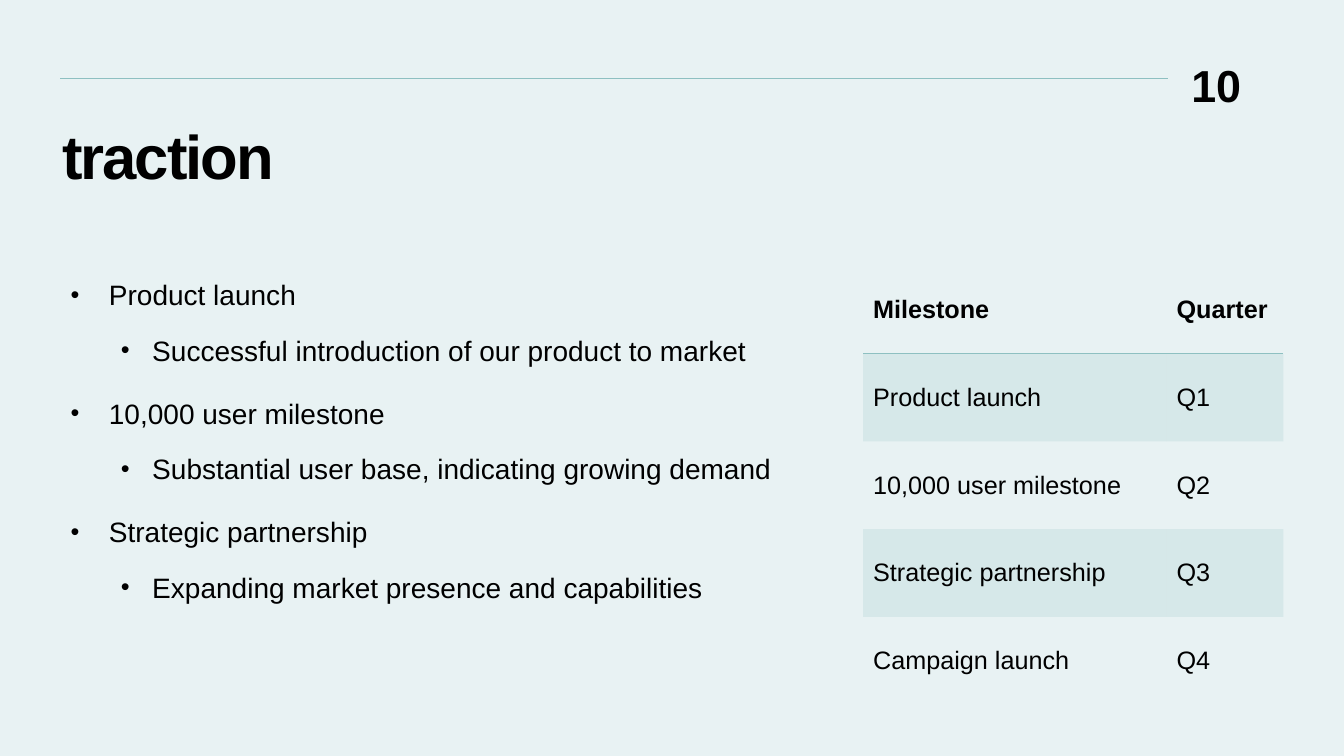
from dataclasses import dataclass

from lxml.etree import SubElement
from pptx import Presentation
from pptx.dml.color import RGBColor
from pptx.enum.shapes import MSO_CONNECTOR
from pptx.enum.text import MSO_ANCHOR, PP_ALIGN
from pptx.oxml import parse_xml
from pptx.oxml.ns import nsdecls, qn
from pptx.slide import Slide
from pptx.table import _Cell
from pptx.text.text import TextFrame, _Paragraph
from pptx.util import Inches, Pt


@dataclass(frozen=True)
class Theme:
    """Colours, font and type sizes of the slide."""
    background: str = "E8F2F3"
    accent: str = "8EC0C1"
    ink: str = "000000"
    font: str = "Arial"
    title_size: int = 44
    number_size: int = 32
    body_size: int = 20
    table_size: int = 18
    band_opacity: int = 20


@dataclass(frozen=True)
class BulletLevel:
    """Indents in inches and space before in points for one list level."""
    left: float
    hanging: float
    space_before: int


@dataclass(frozen=True)
class Achievement:
    """A headline and its supporting detail."""
    headline: str
    detail: str


@dataclass(frozen=True)
class Milestone:
    """A table row."""
    name: str
    quarter: str


THEME = Theme()
LEVELS = (BulletLevel(0.38, 0.38, 10), BulletLevel(0.81, 0.31, 5))
ACHIEVEMENTS = (
    Achievement("Product launch", "Successful introduction of our product to market"),
    Achievement("10,000 user milestone", "Substantial user base, indicating growing demand"),
    Achievement("Strategic partnership", "Expanding market presence and capabilities"),
)
MILESTONES = (
    Milestone("Milestone", "Quarter"),
    Milestone("Product launch", "Q1"),
    Milestone("10,000 user milestone", "Q2"),
    Milestone("Strategic partnership", "Q3"),
    Milestone("Campaign launch", "Q4"),
)
COLUMN_WIDTHS = (3.01, 1.16)
ROW_HEIGHT = 0.87
NO_GRID_STYLE = "{2D5ABB26-0587-4C30-8999-92F81FD0307C}"


def write_text(paragraph: _Paragraph, text: str, *, size: int, bold: bool = False,
               align: PP_ALIGN = PP_ALIGN.LEFT, line_spacing: float = 1.0,
               tracking: float = 0) -> None:
    """Write one formatted run into a paragraph."""
    paragraph.alignment = align
    paragraph.line_spacing = line_spacing
    run = paragraph.add_run()
    run.text = text
    run.font.name = THEME.font
    run.font.size = Pt(size)
    run.font.bold = bold
    run.font.color.rgb = RGBColor.from_string(THEME.ink)
    if tracking:
        run._r.get_or_add_rPr().set("spc", str(round(tracking * 100)))


def add_text_frame(slide: Slide, left: float, top: float, width: float, height: float,
                   left_inset: float = 0, right_inset: float = 0,
                   vertical_inset: float = 0) -> TextFrame:
    """Add a wrapping text box and return its frame."""
    box = slide.shapes.add_textbox(Inches(left), Inches(top), Inches(width), Inches(height))
    frame = box.text_frame
    frame.word_wrap = True
    frame.margin_left, frame.margin_right = Inches(left_inset), Inches(right_inset)
    frame.margin_top = frame.margin_bottom = Inches(vertical_inset)
    return frame


def add_bullet(paragraph: _Paragraph, text: str, level: int) -> None:
    """Write a bulleted paragraph at the given level."""
    write_text(paragraph, text, size=THEME.body_size, line_spacing=1.2)
    style = LEVELS[level]
    paragraph.level = level
    paragraph.space_before = Pt(style.space_before)
    paragraph.space_after = Pt(6)
    properties = paragraph._p.get_or_add_pPr()
    properties.set("marL", str(Inches(style.left)))
    properties.set("indent", str(-Inches(style.hanging)))
    colour = SubElement(properties, qn("a:buClr"))
    SubElement(colour, qn("a:srgbClr"), val=THEME.ink)
    SubElement(properties, qn("a:buSzPct"), val="90000")
    SubElement(properties, qn("a:buFont"), typeface=THEME.font)
    SubElement(properties, qn("a:buChar"), char="•")


def add_achievements(slide: Slide) -> None:
    """Add the two-level list of achievements."""
    frame = add_text_frame(slide, 0.65, 2.64, 7.31, 4.34, 0.05, 0.1, 0.05)
    lines = [(text, level) for item in ACHIEVEMENTS
             for level, text in enumerate((item.headline, item.detail))]
    for index, (text, level) in enumerate(lines):
        paragraph = frame.add_paragraph() if index else frame.paragraphs[0]
        add_bullet(paragraph, text, level)


def style_cell(cell: _Cell, row: int) -> None:
    """Shade odd rows and underline the header."""
    properties = cell._tc.get_or_add_tcPr()
    if row % 2:
        cell.fill.solid()
        cell.fill.fore_color.rgb = RGBColor.from_string(THEME.accent)
        colour = properties.find(f".//{qn('a:srgbClr')}")
        SubElement(colour, qn("a:alpha"), val=str(THEME.band_opacity * 1000))
    else:
        cell.fill.background()
    if row == 0:
        properties.insert(0, parse_xml(
            f'<a:lnB {nsdecls("a")} w="{Pt(1)}"><a:solidFill>'
            f'<a:srgbClr val="{THEME.accent}"/></a:solidFill></a:lnB>'))


def add_milestones(slide: Slide) -> None:
    """Add the milestone table."""
    frame = slide.shapes.add_table(
        len(MILESTONES), len(COLUMN_WIDTHS), Inches(8.56), Inches(2.64),
        Inches(sum(COLUMN_WIDTHS)), Inches(ROW_HEIGHT * len(MILESTONES)))
    table = frame.table
    table.horz_banding = False
    table._tbl.tblPr.find(qn("a:tableStyleId")).text = NO_GRID_STYLE
    for column, width in zip(table.columns, COLUMN_WIDTHS):
        column.width = Inches(width)
    for row, milestone in enumerate(MILESTONES):
        table.rows[row].height = Inches(ROW_HEIGHT)
        for column, text in enumerate((milestone.name, milestone.quarter)):
            cell = table.cell(row, column)
            cell.vertical_anchor = MSO_ANCHOR.MIDDLE
            write_text(cell.text_frame.paragraphs[0], text,
                       size=THEME.table_size, bold=row == 0)
            style_cell(cell, row)


def add_rule(slide: Slide) -> None:
    """Add the thin line at the top."""
    rule = slide.shapes.add_connector(
        MSO_CONNECTOR.STRAIGHT, Inches(0.6), Inches(0.78), Inches(11.58), Inches(0.78))
    rule.line.color.rgb = RGBColor.from_string(THEME.accent)
    rule.line.width = Pt(0.75)
    SubElement(rule._element.spPr, qn("a:effectLst"))


def main() -> None:
    """Build and save the traction slide."""
    presentation = Presentation()
    presentation.slide_width, presentation.slide_height = Inches(13.33), Inches(7.5)
    slide = presentation.slides.add_slide(presentation.slide_layouts[6])
    slide.background.fill.solid()
    slide.background.fill.fore_color.rgb = RGBColor.from_string(THEME.background)
    add_rule(slide)
    title = add_text_frame(slide, 0.62, 1.2, 12.13, 1.32, 0, 0.1, 0.05)
    write_text(title.paragraphs[0], "traction", size=THEME.title_size, bold=True,
               line_spacing=0.9, tracking=-1.5)
    number = add_text_frame(slide, 11.31, 0.57, 1, 0.53)
    write_text(number.paragraphs[0], "10", size=THEME.number_size, bold=True,
               align=PP_ALIGN.RIGHT)
    add_achievements(slide)
    add_milestones(slide)
    presentation.save("out.pptx")


if __name__ == "__main__":
    main()
